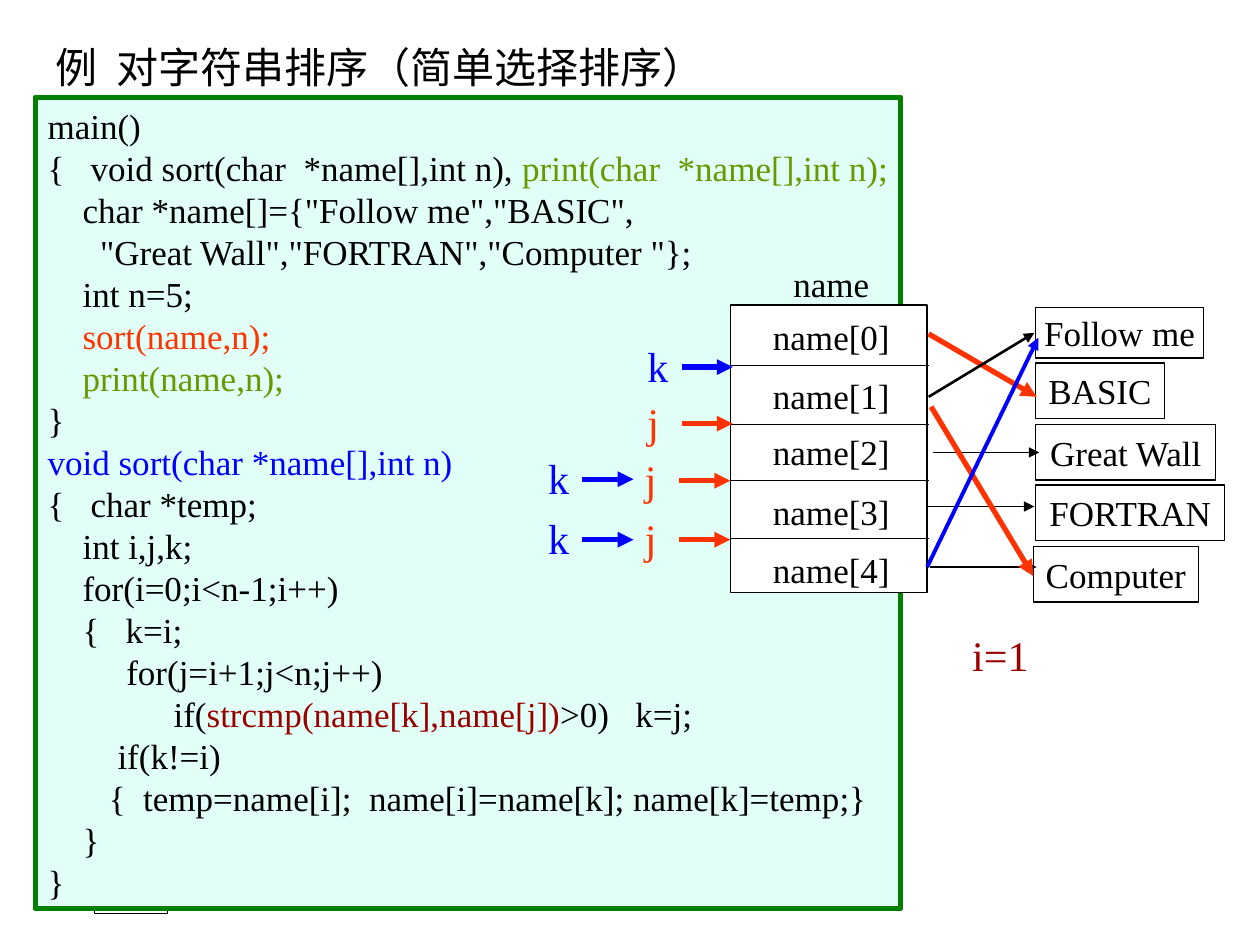
import pptx
import pptx.util
import pptx.dml.color
import pptx.enum.shapes
import pptx.enum.text
import pptx.oxml
import pptx.oxml.ns

Cm, Pt = pptx.util.Cm, pptx.util.Pt
SHAPE = pptx.enum.shapes.MSO_SHAPE
ALIGN = pptx.enum.text.PP_ALIGN
ANCHOR = pptx.enum.text.MSO_ANCHOR
FONT = "Times New Roman"
BLACK, WHITE, BLUE, RED = "000000", "FFFFFF", "0000FF", "FF3300"
GREEN, DARK_RED = "669900", "990000"

CODE = [
    [("main()", BLACK)],
    [("{   void sort(char  *name[],int n), ", BLACK), ("print(char  *name[],int n);", GREEN)],
    [('    char *name[]={"Follow me","BASIC",', BLACK)],
    [('      "Great Wall","FORTRAN","Computer "};', BLACK)],
    [("    int n=5;", BLACK)],
    [("    sort(name,n);", RED)],
    [("    print(name,n);", GREEN)],
    [("}", BLACK)],
    [("void sort(char *name[],int n)", BLUE)],
    [("{   char *temp;", BLACK)],
    [("    int i,j,k;", BLACK)],
    [("    for(i=0;i<n-1;i++)", BLACK)],
    [("    {   k=i;", BLACK)],
    [("         for(j=i+1;j<n;j++)", BLACK)],
    [("\tif(", BLACK), ("strcmp(name[k],name[j])", DARK_RED), (">0)   k=j;", BLACK)],
    [("        if(k!=i)", BLACK)],
    [("       {  temp=name[i];  name[i]=name[k]; name[k]=temp;}", BLACK)],
    [("    }", BLACK)],
    [("}", BLACK)],
]


def rgb(value):
    """Turn a hex string into a colour."""
    return pptx.dml.color.RGBColor.from_string(value)


def xml(tag, inner="", **attrs):
    """Make a drawing element from its tag, content and attributes."""
    text = "".join(f' {name}="{value}"' for name, value in attrs.items())
    return pptx.oxml.parse_xml(f'<a:{tag} {pptx.oxml.ns.nsdecls("a")}{text}>{inner}</a:{tag}>')


def write(sp, lines, size, align=ALIGN.LEFT, anchor=ANCHOR.TOP, spacing=None, tab=None):
    """Fill a shape with lines, each a list of (text, colour) runs."""
    tf = sp.text_frame
    tf.word_wrap = False
    tf.auto_size = pptx.enum.text.MSO_AUTO_SIZE.NONE
    tf.vertical_anchor = anchor
    for i, line in enumerate(lines):
        p = tf.paragraphs[0] if i == 0 else tf.add_paragraph()
        if tab:
            stop = f'<a:tab pos="{Cm(tab)}" algn="l"/>'
            p._p.get_or_add_pPr().append(xml("tabLst", stop))
        p.alignment = align
        if spacing:
            p.line_spacing = spacing
        for text, color in line:
            r = p.add_run()
            r.text = text
            r.font.name = FONT
            r.font.size = Pt(size)
            r.font.color.rgb = rgb(color)


def add_text(shapes, box, text, size, color, align=ALIGN.LEFT, anchor=ANCHOR.TOP):
    """Add a one-line text box."""
    sp = shapes.add_textbox(*map(Cm, box))
    write(sp, [[(text, color)]], size, align, anchor)


def add_box(shapes, box, fill=None, line=BLACK, width=0.75, kind=SHAPE.RECTANGLE):
    """Add an outlined shape, filled if a colour is given."""
    sp = shapes.add_shape(kind, *map(Cm, box))
    sp.shadow.inherit = False
    if fill:
        sp.fill.solid()
        sp.fill.fore_color.rgb = rgb(fill)
    else:
        sp.fill.background()
    sp.line.color.rgb = rgb(line)
    sp.line.width = Pt(width)
    return sp


def add_line(shapes, ends, color=BLACK, width=0.75, arrow=True):
    """Add a straight line, with an arrowhead at its end if wanted."""
    s = shapes.add_connector(pptx.enum.shapes.MSO_CONNECTOR.STRAIGHT, *map(Cm, ends))
    s.line.color.rgb = rgb(color)
    s.line.width = Pt(width)
    if arrow:
        s.line._get_or_add_ln().append(xml("tailEnd", type="triangle"))
    s._element.spPr.append(xml("effectLst"))


def add_title(slide, box):
    """Place the title, with a tab stop after its first word."""
    sp = slide.shapes.title
    sp.left, sp.top, sp.width, sp.height = map(Cm, box)
    write(sp, [[("例\t对字符串排序（简单选择排序）", BLACK)]], 24, tab=1.24)


def add_code(slide, box):
    """Place the program listing in its green frame."""
    sp = add_box(slide.shapes, box, "E1FFF7", "008000", 3)
    write(sp, CODE, 20, spacing=Pt(24), tab=2.54)
    tf = sp.text_frame
    tf.word_wrap = True
    tf.margin_top, tf.margin_right = Cm(0.15), Cm(0)


def add_array(slide, box):
    """Draw the pointer array with its caption and cells."""
    x, y, w, h = box
    add_box(slide.shapes, box, WHITE)
    for dy in (1.22, 2.41, 3.53, 4.7):
        add_line(slide.shapes, (x, y + dy, x + w + 0.03, y + dy), arrow=False)
    labels = [("name", -0.99)]
    labels += [(f"name[{i}]", dy) for i, dy in enumerate((0.08, 1.27, 2.39, 3.61, 4.78))]
    for text, dy in labels:
        add_text(slide.shapes, (x + 0.61, y + dy, 2.84, 1.12), text, 20, BLACK,
                 ALIGN.CENTER, ANCHOR.MIDDLE)


def add_strings(slide, box):
    """Draw the framed strings down the right side."""
    x, y = box[:2]
    for text, dx, dy, w, h in (
        ("Follow me", 0.05, 0, 3.38, 1.02),
        ("BASIC", 0.05, 1.12, 2.59, 1.12),
        ("Great Wall", 0.05, 2.36, 3.63, 1.12),
        ("FORTRAN", 0.05, 3.58, 3.81, 1.12),
        ("Computer", 0, 4.82, 3.33, 1.12),
    ):
        sp = add_box(slide.shapes, (x + dx, y + dy, w, h))
        write(sp, [[(text, BLACK)]], 20, ALIGN.CENTER, ANCHOR.MIDDLE)


def add_links(slide, box):
    """Draw the arrows from the array cells to the strings."""
    x, y = box[:2]
    for x1, y1, x2, y2, color, width in (
        (4.07, 2.97, 6.22, 2.97, BLACK, 0.75),
        (3.96, 4.06, 6.12, 4.06, BLACK, 0.75),
        (4.02, 5.28, 6.17, 5.28, BLACK, 0.75),
        (3.99, 0.58, 6.17, 1.85, RED, 3),
        (3.99, 1.85, 6.12, 0.56, BLACK, 1.5),
        (4.04, 2.05, 6.1, 5.46, RED, 3),
        (3.96, 5.28, 6.2, 0.66, BLUE, 2.25),
    ):
        add_line(slide.shapes, (x + x1, y + y1, x + x2, y + y2), color, width)


def add_pointer(slide, box, text, color):
    """Group an index letter with the arrow to its right."""
    x, y, w, h = box
    shapes = slide.shapes.add_group_shape().shapes
    add_line(shapes, (x + 0.94, y + 0.67, x + w, y + 0.67), color, 3)
    add_text(shapes, (x, y, 0.91, h), text, 24, color)


def main():
    """Build the slide and save it."""
    prs = pptx.Presentation()
    prs.slide_width, prs.slide_height = Cm(25.4), Cm(19.05)
    slide = prs.slides.add_slide(prs.slide_layouts[5])
    array = (14.73, 6.15, 3.96, 5.79)
    add_box(slide.shapes, (1.9, 16.51, 1.48, 1.9), WHITE, kind=SHAPE.ACTION_BUTTON_DOCUMENT)
    add_title(slide, (0.86, 0.71, 16, 1.27))
    add_code(slide, (0.71, 1.96, 17.45, 16.36))
    add_array(slide, array)
    add_strings(slide, (20.83, 6.2, 3.86, 5.94))
    for text, color, x, y in (
        ("k", BLUE, 12.8, 6.73), ("k", BLUE, 10.8, 8.99), ("k", BLUE, 10.8, 10.21),
        ("j", RED, 12.8, 7.87), ("j", RED, 12.75, 9.02), ("j", RED, 12.75, 10.21),
    ):
        add_pointer(slide, (x, y, 1.97, 1.27), text, color)
    add_text(slide.shapes, (19.35, 12.57, 1.63, 1.27), "i=1", 24, DARK_RED)
    add_links(slide, array)
    prs.save("out.pptx")


if __name__ == "__main__":
    main()
